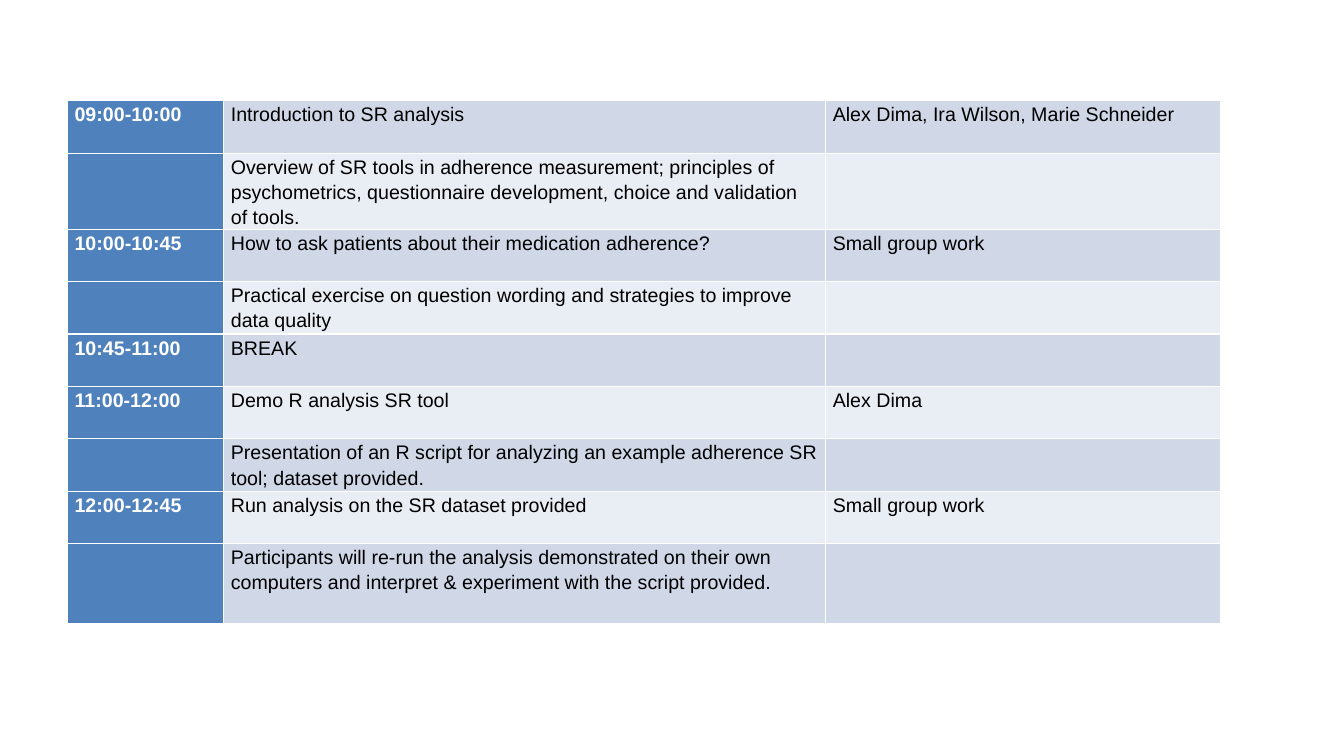
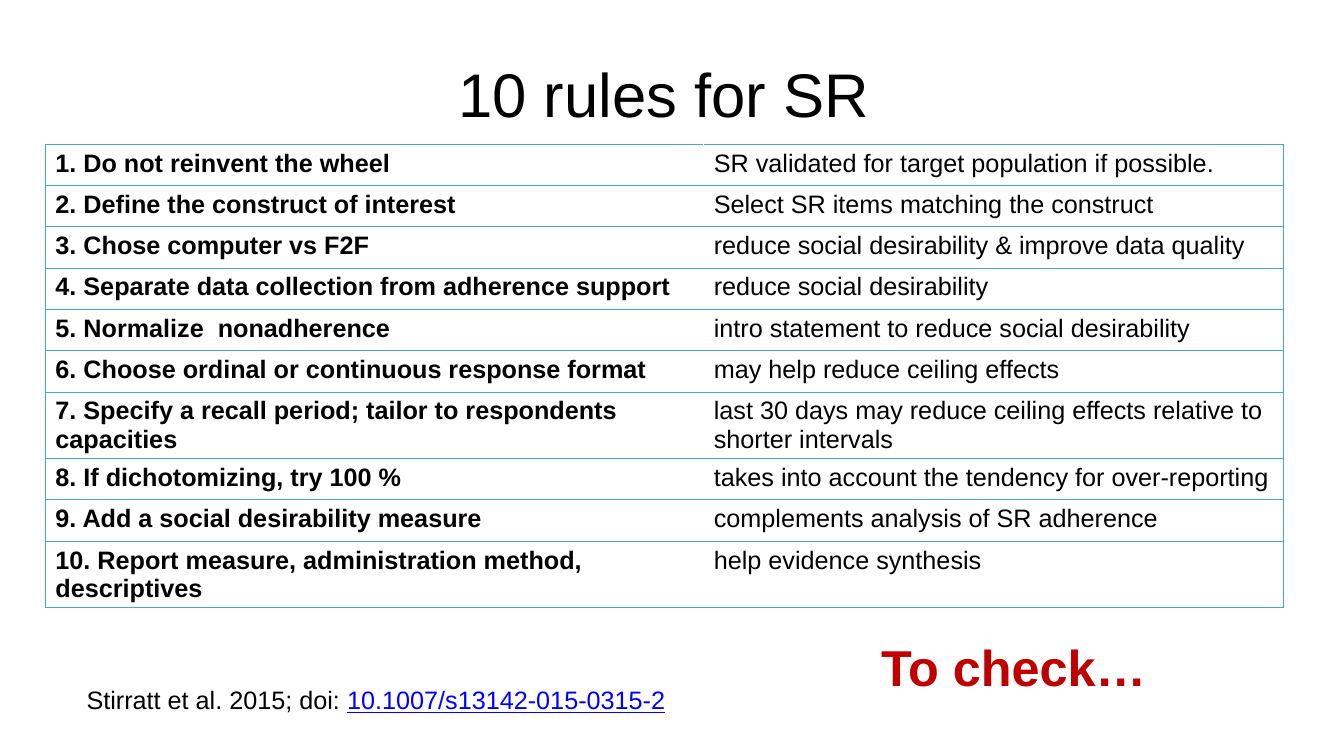
from lxml import etree
from pptx import Presentation
from pptx.dml.color import RGBColor
from pptx.enum import text
from pptx.oxml import ns
from pptx.util import Inches, Pt

COLORS = {
    "black": "000000", "white": "FFFFFF", "time": "4F81BD",
    "dark_band": "D0D8E8", "light_band": "E9EDF4",
    "rule": "46AAC5", "link": "0000FF", "alert": "C00000",
}


class Deck:
    """Holds the shared style and the current slide."""

    font = "Arial"

    def __init__(self):
        self.deck = Presentation()
        self.deck.slide_width = Inches(13.33)
        self.deck.slide_height = Inches(7.5)
        self.page = None

    def add_page(self):
        self.page = self.deck.slides.add_slide(self.deck.slide_layouts[6])

    def style(self, span, size, color="black", bold=False, underline=False):
        span.font.name = self.font
        span.font.size = Pt(size)
        span.font.bold = bold
        span.font.underline = underline
        span.font.color.rgb = RGBColor.from_string(COLORS[color])

    def text_box(self, left, top, width, height, spans, size, wrap=False, **look):
        """Spans are (wording, style changes) pairs on one line."""
        box = self.page.shapes.add_textbox(
            Inches(left), Inches(top), Inches(width), Inches(height))
        frame = box.text_frame
        frame.word_wrap = wrap
        frame.auto_size = (text.MSO_AUTO_SIZE.NONE if wrap
                           else text.MSO_AUTO_SIZE.SHAPE_TO_FIT_TEXT)
        for wording, changes in spans:
            span = frame.paragraphs[0].add_run()
            span.text = wording
            self.style(span, size, **{**look, **changes})
        return frame

    def title(self, wording):
        frame = self.text_box(0.67, 0.3, 12, 1.25, [(wording, {})], 44, wrap=True)
        frame.vertical_anchor = text.MSO_ANCHOR.MIDDLE
        frame.paragraphs[0].alignment = text.PP_ALIGN.CENTER

    def table(self, left, top, widths, heights, rows):
        frame = self.page.shapes.add_table(
            len(rows), len(widths), Inches(left), Inches(top),
            Inches(sum(widths)), Inches(sum(heights)))
        table = frame.table
        table.first_row = table.horz_banding = False
        for column, width in zip(table.columns, widths):
            column.width = Inches(width)
        for row, height in zip(table.rows, heights):
            row.height = Inches(height)
        for cell, wording in zip(table.iter_cells(), (w for row in rows for w in row)):
            cell.text_frame.text = wording
        return table

    def borders(self, cell, sides, color, width):
        """Sides come in the order L, R, T, B."""
        properties = cell._tc.get_or_add_tcPr()
        for side in sides:
            line = etree.SubElement(properties, ns.qn("a:ln" + side), w=str(Pt(width)))
            fill = etree.SubElement(line, ns.qn("a:solidFill"))
            etree.SubElement(fill, ns.qn("a:srgbClr"), val=COLORS[color])

    def fill(self, cell, color):
        cell.fill.solid()
        cell.fill.fore_color.rgb = RGBColor.from_string(COLORS[color])

    def style_cell(self, cell, size, **look):
        for paragraph in cell.text_frame.paragraphs:
            for span in paragraph.runs:
                self.style(span, size, **look)


deck = Deck()

# Slide 1: workshop schedule
deck.add_page()
sessions = [
    ("09:00-10:00", "Introduction to SR analysis",
     "Alex Dima, Ira Wilson, Marie Schneider\u00a0"),
    ("", "Overview of SR tools in adherence measurement; principles of psychometrics, "
     "questionnaire development, choice and validation of tools.", ""),
    ("10:00-10:45", "How to ask patients about their medication adherence?",
     "Small group work"),
    ("", "Practical exercise on question wording and strategies to improve data quality", ""),
    ("10:45-11:00", "BREAK", ""),
    ("11:00-12:00", "Demo R analysis SR tool", "Alex Dima"),
    ("", "Presentation of an R script for analyzing an example adherence SR tool; "
     "dataset provided.", ""),
    ("12:00-12:45", "Run analysis on the SR dataset provided", "Small group work"),
    ("", "Participants will re-run the analysis demonstrated on their own computers "
     "and interpret & experiment with the script provided.", ""),
]
heights = [0.52, 0.58] + [0.52] * 6 + [0.79]
schedule = deck.table(0.67, 1, [1.55, 5.97, 3.92], heights, sessions)
for index, row in enumerate(schedule.rows):
    band = "light_band" if index % 2 else "dark_band"
    for column, cell in enumerate(row.cells):
        is_time = column == 0
        deck.borders(cell, "LRTB", "white", 1)
        deck.fill(cell, "time" if is_time else band)
        cell.margin_left = cell.margin_right = Inches(0.07)
        cell.margin_top = cell.margin_bottom = 0
        cell.text_frame.paragraphs[0].line_spacing = 1.15
        deck.style_cell(cell, 14, color="white" if is_time else "black", bold=is_time)

# Slide 2: rules for self-report
deck.add_page()
rules = [
    ("Do not reinvent the wheel", "SR validated for target population if possible."),
    ("Define the construct of interest", "Select SR items matching the construct"),
    ("Chose computer vs F2F", "reduce social desirability & improve data quality"),
    ("Separate data collection from adherence support", "reduce social desirability"),
    ("Normalize  nonadherence", "intro statement to reduce social desirability"),
    ("Choose ordinal or continuous response format", "may help reduce ceiling effects"),
    ("Specify a recall period; tailor to respondents capacities",
     "last 30\u00a0days may reduce ceiling effects relative to shorter intervals"),
    ("If dichotomizing, try 100\u00a0%", "takes into account the tendency for over-reporting"),
    ("Add a social desirability measure", "complements analysis of SR adherence"),
    ("Report measure, administration method, descriptives", "help evidence synthesis"),
]
numbered = [(f"{number}. {rule}", reason)
            for number, (rule, reason) in enumerate(rules, 1)]
rule_table = deck.table(0.45, 1.43, [6.53, 5.75], [0.41] * len(rules), numbered)
for row in rule_table.rows:
    for cell, sides, bold in zip(row.cells, ("LTB", "RTB"), (True, False)):
        deck.borders(cell, sides, "rule", 0.75)
        cell.fill.background()
        deck.style_cell(cell, 18, bold=bold)

# Source, title and reminder
deck.text_box(0.76, 6.74, 5.99, 0.4, [
    ("Stirratt et al. 2015; doi:\u00a0", {}),
    ("10.1007/s13142-015-0315-2", {"color": "link", "underline": True}),
], 18)
deck.title("10 rules for SR ")
deck.text_box(8.64, 6.26, 2.86, 0.71, [("To check…", {})], 36, color="alert", bold=True)

deck.deck.save("out.pptx")
